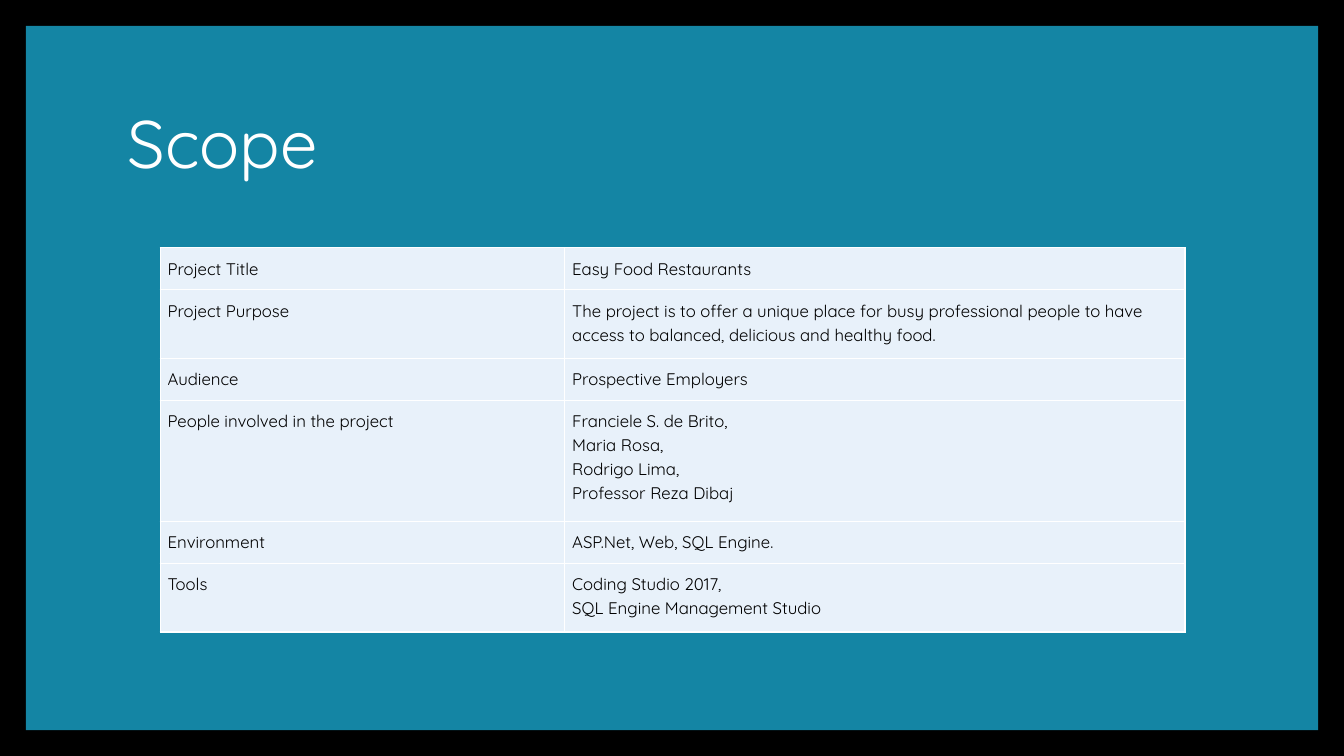
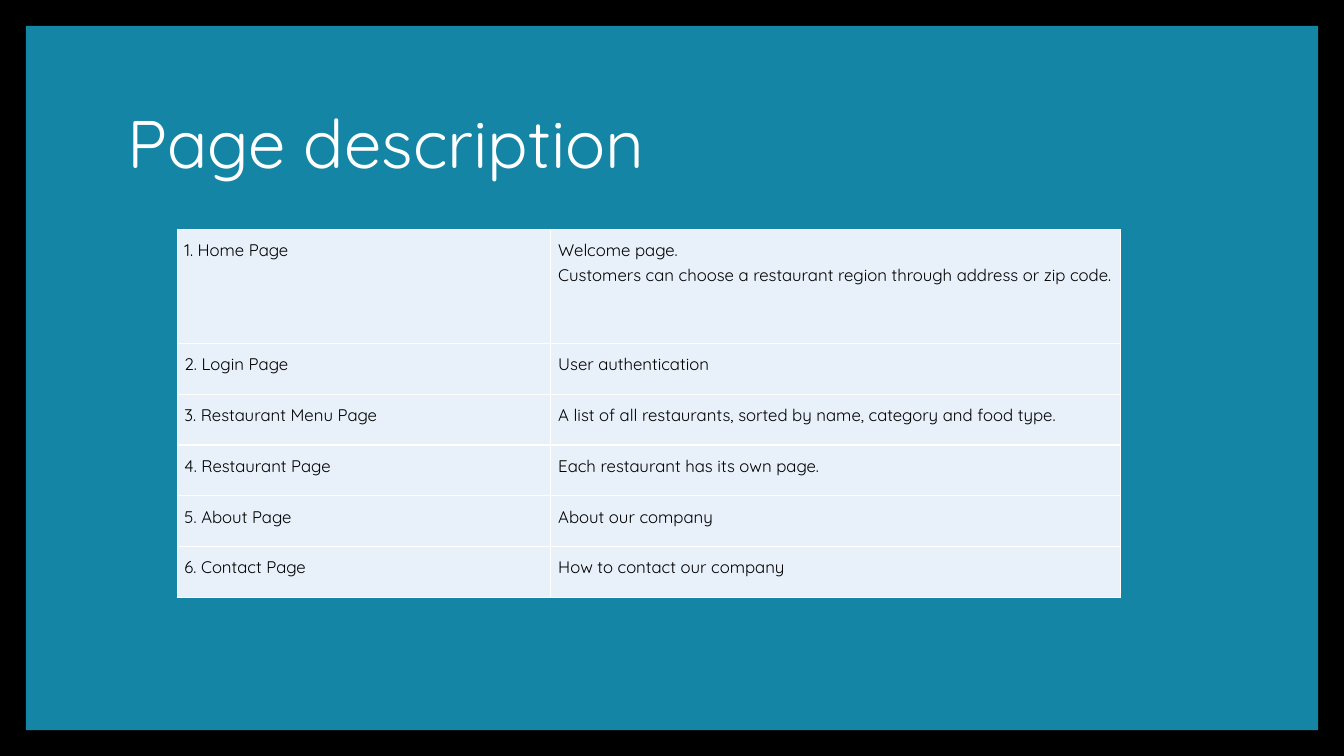
from lxml import etree
from pptx import Presentation
from pptx.dml.color import RGBColor
from pptx.enum.shapes import MSO_SHAPE
from pptx.enum.text import MSO_ANCHOR, MSO_AUTO_SIZE, PP_ALIGN
from pptx.oxml.ns import qn
from pptx.util import Pt

RECTANGLE = MSO_SHAPE.RECTANGLE
TOP, MIDDLE = MSO_ANCHOR.TOP, MSO_ANCHOR.MIDDLE
LEFT = PP_ALIGN.LEFT
NO_AUTOFIT = MSO_AUTO_SIZE.NONE

FONT = "Quicksand"
BLACK, TEAL, PALE, WHITE = "000000", "1485A4", "E8F1FA", "FFFFFF"
WIDTH, HEIGHT, FRAME = 960, 540, 18.5
MARGINS = {f"margin_{side}": Pt(5.25) for side in ("left", "top", "right", "bottom")}


def paint(color_format, color):
    color_format.rgb = RGBColor.from_string(color)


def style_text(frame, size, color, spacing):
    for paragraph in frame.paragraphs:
        paragraph.alignment = LEFT
        paragraph.line_spacing = spacing
        for run in paragraph.runs:
            run.font.name = FONT
            run.font.size = Pt(size)
            paint(run.font.color, color)


pages = [
    {
        "title": "Scope",
        "corner": (114.5, 177),
        "columns": (289, 443),
        "heights": (30, 49, 30, 86.5, 30, 49),
        "rows": [
            ("Project Title", "Easy Food Restaurants"),
            ("Project Purpose", "The project is to offer a unique place for busy professional people to have access to balanced, delicious and healthy food."),
            ("Audience", "Prospective Employers"),
            ("People involved in the project", "Franciele S. de Brito,\nMaria Rosa,\nRodrigo Lima,\nProfessor Reza Dibaj"),
            ("Environment", "ASP.Net, Web, SQL Engine."),
            ("Tools", "Coding Studio 2017,\nSQL Engine Management Studio"),
        ],
    },
    {
        "title": "Page description",
        "corner": (126.5, 164),
        "columns": (267, 407),
        "heights": (81.5,) + (36.2,) * 5,
        "rows": [
            ("1. Home Page", "Welcome page.\nCustomers can choose a restaurant region through address or zip code."),
            ("2. Login Page", "User authentication"),
            ("3. Restaurant Menu Page", "A list of all restaurants, sorted by name, category and food type."),
            ("4. Restaurant Page", "Each restaurant has its own page."),
            ("5. About Page", "About our company"),
            ("6. Contact Page", "How to contact our company"),
        ],
    },
]

prs = Presentation()
prs.slide_width, prs.slide_height = Pt(WIDTH), Pt(HEIGHT)
title_only = prs.slide_layouts[5]
backdrop = prs.slide_master.background.fill
backdrop.solid()
paint(backdrop.fore_color, BLACK)

for page in pages:
    slide = prs.slides.add_slide(title_only)

    panel = slide.shapes.add_shape(
        RECTANGLE, Pt(FRAME), Pt(FRAME), Pt(WIDTH - 2 * FRAME), Pt(HEIGHT - 2 * FRAME)
    )
    panel.shadow.inherit = False
    panel.fill.solid()
    paint(panel.fill.fore_color, TEAL)
    panel.line.fill.background()
    slide.shapes._spTree.insert(2, panel._element)

    heading = slide.shapes.title
    place = {"left": 84, "top": 50.5, "width": 792, "height": 108}
    for side, length in place.items():
        setattr(heading, side, Pt(length))
    heading.text_frame.text = page["title"]
    heading.text_frame.auto_size = NO_AUTOFIT
    heading.text_frame.vertical_anchor = MIDDLE
    style_text(heading.text_frame, 48, WHITE, 0.9)

    left, top = page["corner"]
    details = slide.shapes.add_table(
        len(page["rows"]), len(page["columns"]), Pt(left), Pt(top),
        Pt(sum(page["columns"])), Pt(sum(page["heights"])),
    ).table
    details.first_row = details.horz_banding = False
    for column, width in zip(details.columns, page["columns"]):
        column.width = Pt(width)
    for row, height, texts in zip(details.rows, page["heights"], page["rows"]):
        row.height = Pt(height)
        for cell, text in zip(row.cells, texts):
            cell.text = text
            cell.vertical_anchor = TOP
            for margin, length in MARGINS.items():
                setattr(cell, margin, length)
            style_text(cell.text_frame, 12, BLACK, 1.15)
            properties = cell._tc.get_or_add_tcPr()
            for edge in ("a:lnL", "a:lnR", "a:lnT", "a:lnB"):
                border = etree.SubElement(properties, qn(edge), w=str(Pt(1)))
                ink = etree.SubElement(border, qn("a:solidFill"))
                etree.SubElement(ink, qn("a:srgbClr"), val=WHITE)
            cell.fill.solid()
            paint(cell.fill.fore_color, PALE)

prs.save("out.pptx")
